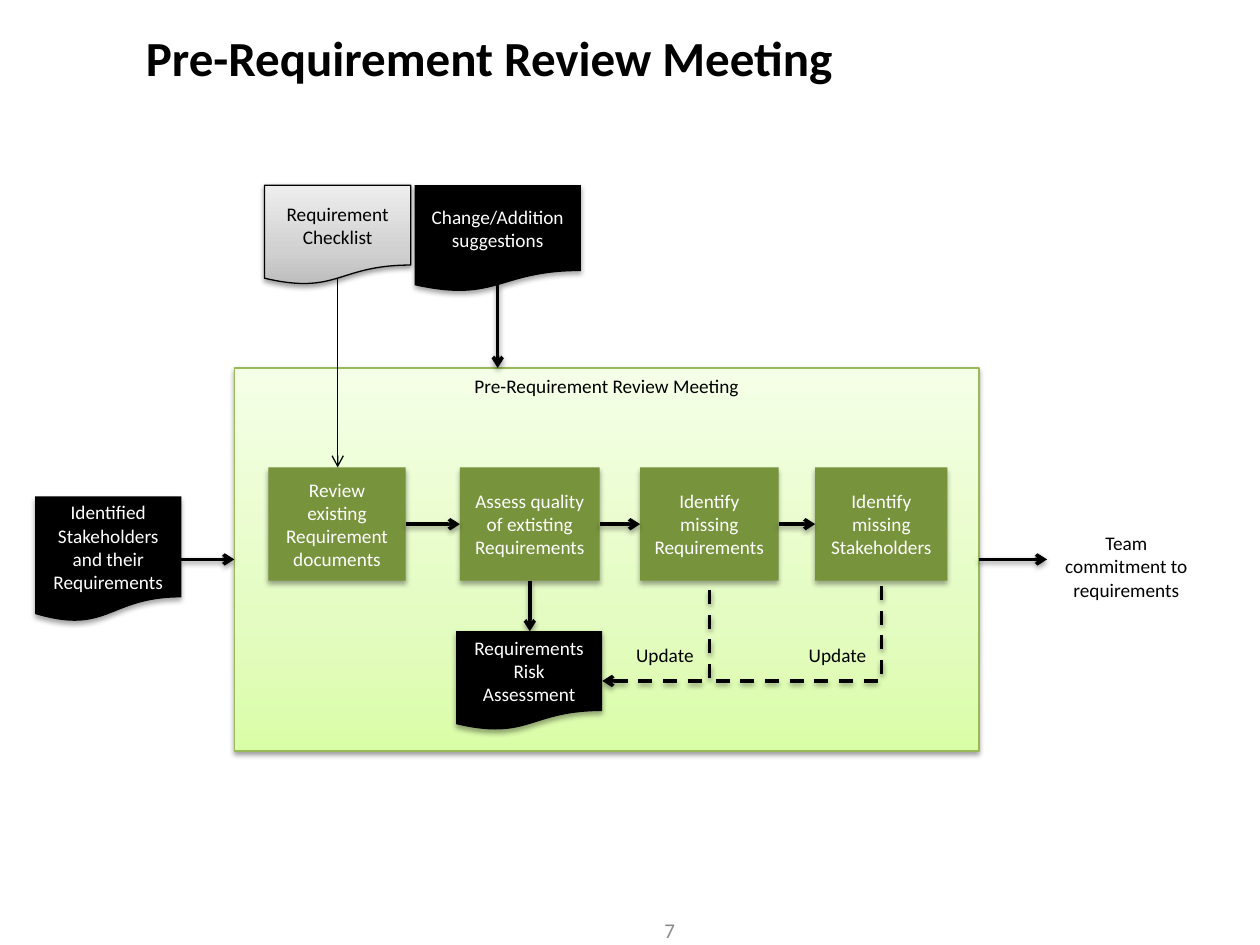
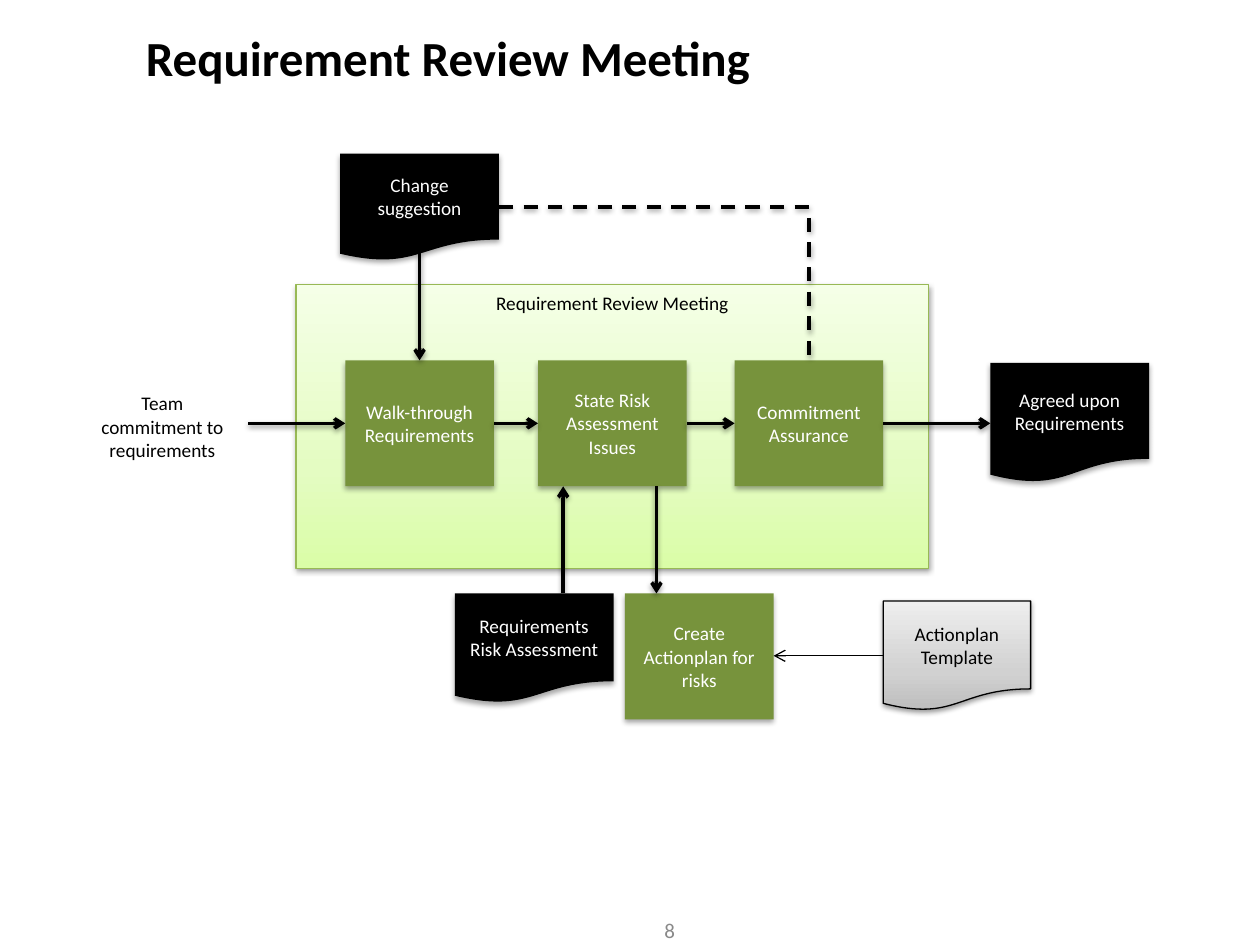
from lxml.etree import SubElement
from pptx import Presentation
from pptx.dml.color import RGBColor
from pptx.enum.dml import MSO_LINE
from pptx.enum.shapes import MSO_CONNECTOR, MSO_SHAPE
from pptx.enum.text import MSO_ANCHOR, PP_ALIGN
from pptx.oxml.ns import qn
from pptx.util import Inches, Pt

BLACK = RGBColor(0x00, 0x00, 0x00)
WHITE = RGBColor(0xFF, 0xFF, 0xFF)
GREEN = RGBColor(0x77, 0x93, 0x3C)
LIME_EDGE = RGBColor(0x98, 0xB9, 0x55)
NUMBER_GREY = RGBColor(0x89, 0x89, 0x89)
GREY_STOPS = [(0, RGBColor(0xBD, 0xBD, 0xBD)), (35, RGBColor(0xD1, 0xD1, 0xD1)),
              (100, RGBColor(0xEE, 0xEE, 0xEE))]
LIME_STOPS = [(0, RGBColor(0xDA, 0xFD, 0xA7)), (35, RGBColor(0xE4, 0xFC, 0xC2)),
              (100, RGBColor(0xF5, 0xFF, 0xE7))]

# Shadows: opacity in percent, distance in points
SOFT, FIRM = (38, 1.6), (35, 1.8)
TITLE_AREA = (1.06, 0.08, 8.11, 0.75)
NUMBER_AREA = (4.15, 7.27, 2.33, 0.23)
DOCUMENT_WAVE = 0.93  # share of a document's height at its bottom centre

TITLE_FORMAT = dict(size=Pt(28), bold=True)
NUMBER_FORMAT = dict(size=Pt(12))
BODY_FORMAT = dict(size=Pt(11))

KINDS = {
    "meeting": dict(form=MSO_SHAPE.RECTANGLE, fill=LIME_STOPS, edge=LIME_EDGE,
                    ink=BLACK, shadow=SOFT, anchor=MSO_ANCHOR.TOP),
    "step": dict(form=MSO_SHAPE.RECTANGLE, fill=GREEN, edge=None,
                 ink=WHITE, shadow=FIRM, anchor=MSO_ANCHOR.MIDDLE),
    "record": dict(form=MSO_SHAPE.FLOWCHART_DOCUMENT, fill=BLACK, edge=None,
                   ink=WHITE, shadow=FIRM, anchor=MSO_ANCHOR.MIDDLE),
    "template": dict(form=MSO_SHAPE.FLOWCHART_DOCUMENT, fill=GREY_STOPS, edge=BLACK,
                     ink=BLACK, shadow=SOFT, anchor=MSO_ANCHOR.MIDDLE),
}

# parts: key -> (kind, (left, top, width, height), text)
# flows: (axis, from, to, position across the axis or None for the centre of "from")
# returns: (record, step, start of the line or None for the record's edge, arrow)
SLIDES = [
    dict(
        number=7, title="Pre-Requirement Review Meeting",
        parts={
            "checklist": ("template", (2.1, 1.47, 1.16, 0.79), "Requirement Checklist"),
            "meeting": ("meeting", (1.86, 2.92, 5.91, 3.04), "Pre-Requirement Review Meeting"),
            "assess": ("step", (3.65, 3.71, 1.11, 0.9),
                       "Assess quality of extisting Requirements"),
            "stakeholders": ("record", (0.28, 3.94, 1.16, 1),
                             "Identified Stakeholders and their Requirements"),
            "review": ("step", (2.13, 3.71, 1.09, 0.9), "Review existing Requirement documents"),
            "changes": ("record", (3.29, 1.47, 1.32, 0.85), "Change/Addition suggestions"),
            "missing people": ("step", (6.47, 3.71, 1.05, 0.9), "Identify\nmissing Stakeholders"),
            "missing needs": ("step", (5.08, 3.71, 1.1, 0.9), "Identify\nmissing Requirements"),
            "risks": ("record", (3.62, 5.01, 1.16, 0.79), "Requirements Risk Assessment"),
            "update 1": ("label", (4.95, 5.06, 0.98, 0.29), "Update"),
            "update 2": ("label", (6.32, 5.06, 0.98, 0.29), "Update"),
            "commitment": ("centred label", (8.31, 4.17, 1.26, 0.66),
                           "Team commitment to requirements"),
        },
        flows=[
            ("across", "stakeholders", "meeting", None),
            ("across", "meeting", "commitment", None),
            ("down", "changes", "meeting", None),
            ("down", "assess", "risks", None),
            ("across", "review", "assess", None),
            ("across", "assess", "missing needs", None),
            ("across", "missing needs", "missing people", None),
            ("down", "checklist", "review", None),
        ],
        returns=[("risks", "missing needs", None, True),
                 ("risks", "missing people", 5.68, False)],
    ),
    dict(
        number=8, title="Requirement Review Meeting",
        parts={
            "meeting": ("meeting", (2.35, 2.26, 5.02, 2.25), "Requirement Review Meeting"),
            "walk": ("step", (2.74, 2.86, 1.18, 1), "Walk-through Requirements"),
            "issues": ("step", (4.27, 2.86, 1.18, 1), "State Risk Assessment Issues"),
            "assurance": ("step", (5.83, 2.86, 1.18, 1), "Commitment Assurance"),
            "risks": ("record", (3.61, 4.71, 1.26, 0.87), "Requirements Risk Assessment"),
            "agreed": ("record", (7.86, 2.88, 1.26, 0.95), "Agreed upon Requirements"),
            "change": ("record", (2.7, 1.22, 1.26, 0.85), "Change suggestion"),
            "plan": ("step", (4.96, 4.71, 1.18, 1), "Create Actionplan for risks"),
            "plan form": ("template", (7.01, 4.77, 1.17, 0.87), "Actionplan Template"),
            "commitment": ("centred label", (0.61, 3.06, 1.36, 0.71),
                           "Team commitment to requirements"),
        },
        flows=[
            ("across", "commitment", "walk", 3.36),
            ("across", "walk", "issues", None),
            ("across", "issues", "assurance", None),
            ("across", "assurance", "agreed", None),
            ("down", "risks", "issues", 4.47),
            ("down", "change", "walk", None),
            ("down", "issues", "plan", 5.21),
            ("across", "plan form", "plan", None),
        ],
        returns=[("change", "assurance", None, False)],
    ),
]


def inches(lengths):
    return [Inches(length) for length in lengths]


def write(frame, text, ink, formats, align=PP_ALIGN.CENTER, anchor=MSO_ANCHOR.MIDDLE):
    frame.text, frame.word_wrap, frame.vertical_anchor = text, True, anchor
    for paragraph in frame.paragraphs:
        paragraph.alignment = align
        font = paragraph.runs[0].font
        font.name, font.color.rgb = "Calibri", ink
        for key, value in formats.items():
            setattr(font, key, value)


def add_label(slide, area, *args, **options):
    write(slide.shapes.add_textbox(*inches(area)).text_frame, *args, **options)


def colour_xml(parent, colour):
    return SubElement(parent, qn("a:srgbClr"), val=str(colour))


def set_shadow(item, shadow):
    """Shadow straight below, or an empty effect list for none."""
    effects = SubElement(item._element.spPr, qn("a:effectLst"))
    if shadow:
        opacity, distance = shadow
        cast = SubElement(effects, qn("a:outerShdw"), blurRad=str(Pt(3.1)),
                          dist=str(Pt(distance)), dir="5400000", rotWithShape="0")
        SubElement(colour_xml(cast, BLACK), qn("a:alpha"), val=str(opacity * 1000))


def set_gradient(shape, stops):
    """Three stops running from the bottom up."""
    shape.fill.gradient()
    gradient = shape._element.spPr.find(qn("a:gradFill"))
    for child in list(gradient):
        gradient.remove(child)
    stop_list = SubElement(gradient, qn("a:gsLst"))
    for place, colour in stops:
        colour_xml(SubElement(stop_list, qn("a:gs"), pos=str(place * 1000)), colour)
    SubElement(gradient, qn("a:lin"), ang="16200000", scaled="0")


def add_part(slide, kind, area, text):
    if kind not in KINDS:
        align = PP_ALIGN.CENTER if kind == "centred label" else PP_ALIGN.LEFT
        add_label(slide, area, text, BLACK, BODY_FORMAT, align, MSO_ANCHOR.TOP)
        return
    look = KINDS[kind]
    shape = slide.shapes.add_shape(look["form"], *inches(area))
    if isinstance(look["fill"], list):
        set_gradient(shape, look["fill"])
    else:
        shape.fill.solid()
        shape.fill.fore_color.rgb = look["fill"]
    if look["edge"] is None:
        shape.line.fill.background()
    else:
        shape.line.color.rgb, shape.line.width = look["edge"], Pt(0.75)
    set_shadow(shape, look["shadow"])
    write(shape.text_frame, text, look["ink"], BODY_FORMAT, anchor=look["anchor"])


def add_line(slide, form, ends, width, shadow, dashed=False, arrow=None):
    line = slide.shapes.add_connector(form, *inches(ends))
    line.line.color.rgb, line.line.width = BLACK, Pt(width)
    if dashed:
        line.line.dash_style = MSO_LINE.DASH
    if arrow:
        SubElement(line.line._get_or_add_ln(), qn(arrow), type="arrow")
    set_shadow(line, shadow)
    return line


def add_flow(slide, parts, axis, start, end, position):
    """Straight arrow between the facing edges of two parts."""
    kind, first, _ = parts[start]
    second = parts[end][1]
    side = 0 if axis == "across" else 1
    if position is None:
        position = first[1 - side] + first[3 - side] / 2
    if first[side] < second[side]:
        wave = DOCUMENT_WAVE if side and kind in ("record", "template") else 1
        begin, finish = first[side] + first[side + 2] * wave, second[side]
    else:
        begin, finish = first[side], second[side] + second[side + 2]
    ends = ((begin, position, finish, position) if axis == "across"
            else (position, begin, position, finish))
    thin = kind == "template"
    add_line(slide, MSO_CONNECTOR.STRAIGHT, ends, 0.75 if thin else 2,
             None if thin else SOFT, arrow="a:tailEnd")


def add_return(slide, parts, record, step, start, arrow):
    """Dashed line with one corner: across from the record, then to the step."""
    left, top, width, height = parts[record][1]
    step_left, step_top, step_width, step_height = parts[step][1]
    y = top + height / 2
    step_edge = step_top if step_top > y else step_top + step_height
    ends = (start or left + width, y, step_left + step_width / 2, step_edge)
    line = add_line(slide, MSO_CONNECTOR.ELBOW, ends, 2, SOFT, True,
                    "a:headEnd" if arrow else None)
    line._element.spPr.find(qn("a:prstGeom")).set("prst", "bentConnector2")


deck = Presentation()
deck.slide_width, deck.slide_height = Inches(10), Inches(7.5)
for content in SLIDES:
    slide = deck.slides.add_slide(deck.slide_layouts[6])
    add_label(slide, NUMBER_AREA, str(content["number"]), NUMBER_GREY, NUMBER_FORMAT)
    add_label(slide, TITLE_AREA, content["title"], BLACK, TITLE_FORMAT, PP_ALIGN.LEFT)
    for part in content["parts"].values():
        add_part(slide, *part)
    for flow in content["flows"]:
        add_flow(slide, content["parts"], *flow)
    for way_back in content["returns"]:
        add_return(slide, content["parts"], *way_back)
deck.save("out.pptx")
